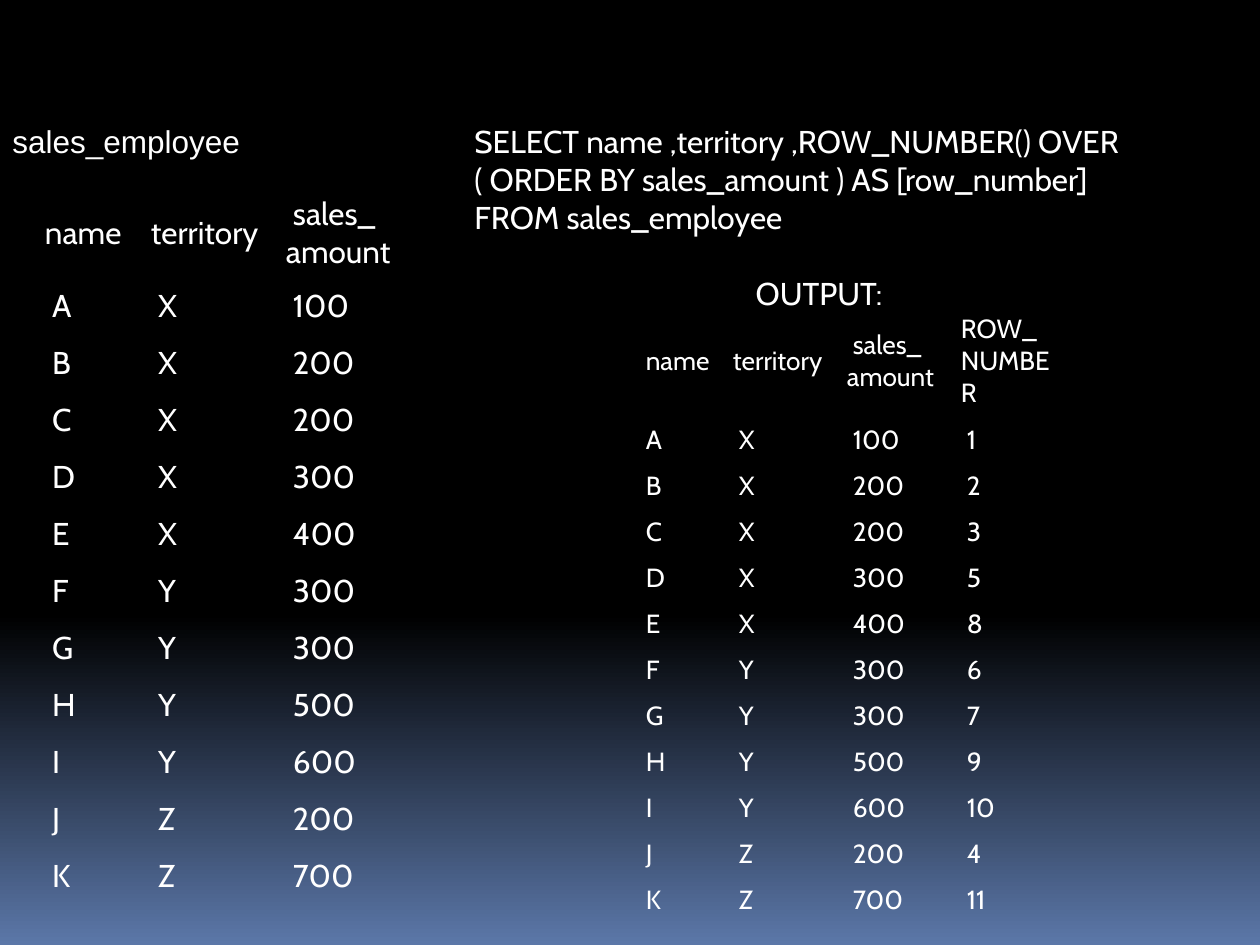
from copy import deepcopy
from dataclasses import dataclass

from pptx import Presentation, util as u
from pptx.dml.color import RGBColor
from pptx.enum import text

PX = u.Inches(1) / 126


@dataclass(frozen=True)
class Theme:
    ink: RGBColor = RGBColor.from_string("FFFFFF")
    night: RGBColor = RGBColor.from_string("000000")
    horizon: RGBColor = RGBColor.from_string("5B77A8")
    body: int = 18
    small: int = 15
    face: str = "Cabin"
    label_face: str = "Arial"


theme = Theme()


def px(length):
    return round(length * PX)


def write(frame, lines, size=theme.body, face=theme.face, last_align=None, last_gap=None):
    """Write one paragraph per line; last_align and last_gap format the last one."""
    frame.word_wrap = True
    for index, line in enumerate(lines):
        paragraph = frame.paragraphs[0] if index == 0 else frame.add_paragraph()
        if not line:  # the height of an empty cell follows its end mark
            paragraph._p.get_or_add_endParaRPr().set("sz", str(size * 100))
            continue
        run = paragraph.add_run()
        run.text = line
        run.font.size = u.Pt(size)
        run.font.name = face
        run.font.color.rgb = theme.ink
    if last_align is not None:
        paragraph.alignment = last_align
    if last_gap is not None:
        paragraph.space_before = u.Pt(last_gap)


presentation = Presentation()
presentation.slide_width = px(1260)
presentation.slide_height = px(945)
slide = presentation.slides.add_slide(presentation.slide_layouts[6])

# Background: black down to 65 %, then fading to blue
fill = slide.background.fill
fill.gradient()
fill.gradient_angle = 270
first_stop = fill._fill._gradFill.gsLst[0]
first_stop.addnext(deepcopy(first_stop))
stops = [(0, theme.night), (0.65, theme.night), (1, theme.horizon)]
for stop, (position, color) in zip(fill.gradient_stops, stops):
    stop.position = position
    stop.color.rgb = color

# Sales data, shared by the source table and the query output
names = "ABCDEFGHIJK"
territories = "XXXXXYYYYZZ"
amounts = [100, 200, 200, 300, 400, 300, 300, 500, 600, 200, 700]
row_numbers = [1, 2, 3, 5, 8, 6, 7, 9, 10, 4, 11]
nbsp = " "

sales_rows = [["name", "territory", f"{nbsp}sales_\namount"]]
output_rows = [[f"{nbsp}name", "territory", f"{nbsp}sales_ amount", "ROW_\nNUMBER", "", "", ""]]
for *sale, number in zip(names, territories, amounts, row_numbers):
    sales_rows.append([f"{nbsp}{value}" for value in sale])
    output_rows.append([f"{nbsp}{value}" for value in [*sale, number]] + [""] * 3)

# left, top, column widths, header height, row height, text size, side and end margins, rows
tables = [
    (32, 189, [106, 135, 201], 87, 57, theme.body, 13, 6, sales_rows),
    (630, 305, [93, 114, 114, 124, 42, 97, 97], 112, 46, theme.small, 10, 5, output_rows),
]
NO_STYLE_NO_GRID = "{2D5ABB26-0587-4C30-8999-92F81FD0307C}"

for left, top, widths, header_height, row_height, size, side, end, rows in tables:
    height = header_height + row_height * (len(rows) - 1)
    table = slide.shapes.add_table(
        len(rows), len(widths), px(left), px(top), px(sum(widths)), px(height)
    ).table
    table.first_row = table.horz_banding = False
    table._tbl.tblPr[0].text = NO_STYLE_NO_GRID
    for column, width in zip(table.columns, widths):
        column.width = px(width)
    for index, values in enumerate(rows):
        table.rows[index].height = px(row_height if index else header_height)
        for cell, value in zip(table.rows[index].cells, values):
            cell.fill.background()
            cell.vertical_anchor = text.MSO_ANCHOR.MIDDLE
            cell.margin_left = cell.margin_right = px(side)
            cell.margin_top = cell.margin_bottom = px(end)
            write(cell.text_frame, value.split("\n"), size=size)

# Name of the source table
label = slide.shapes.add_textbox(px(0), px(116), px(462), px(50))
label.text_frame.vertical_anchor = text.MSO_ANCHOR.MIDDLE
write(label.text_frame, ["sales_employee"], face=theme.label_face)

# Query, with the heading of its output
query = slide.shapes.add_textbox(px(462), px(116), px(714), px(204))
write(
    query.text_frame,
    [
        "SELECT name ,territory ,ROW_NUMBER() OVER ( ORDER BY sales_amount ) "
        "AS [row_number] FROM sales_employee",
        "OUTPUT:",
    ],
    last_align=text.PP_ALIGN.CENTER,
    last_gap=22,
)

for box in (label, query):
    box.text_frame.auto_size = text.MSO_AUTO_SIZE.SHAPE_TO_FIT_TEXT

presentation.save("out.pptx")
